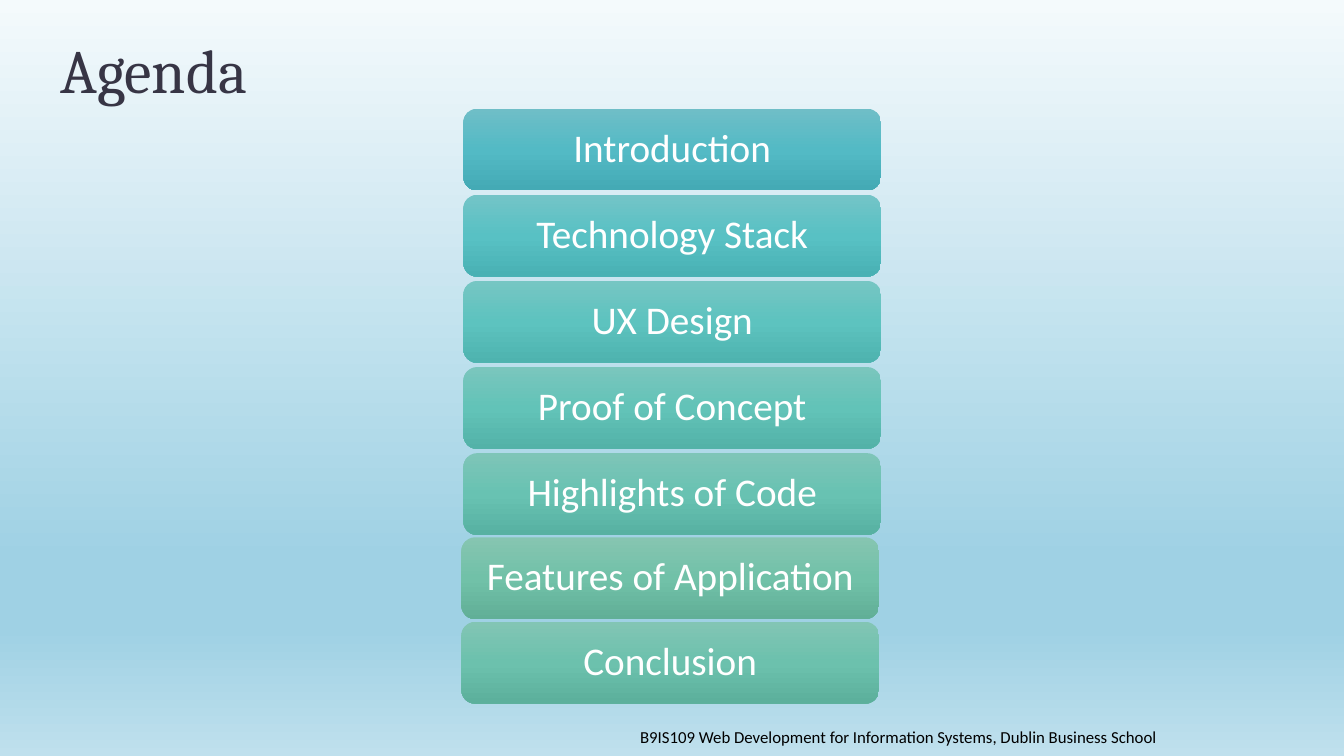
from lxml.etree import SubElement
from pptx import Presentation
from pptx.dml.color import RGBColor
from pptx.enum.shapes import MSO_SHAPE
from pptx.enum.text import MSO_ANCHOR, PP_ALIGN
from pptx.oxml.ns import qn
from pptx.util import Cm, Pt

SKY = [(0, "F4FAFC"), (74, "9FD1E4"), (83, "9FD1E4"), (100, "BFE0ED")]
MAIN_TOPICS = [
    ("Introduction", ("6FBEC7", "53BAC5", "44AAB5")),
    ("Technology Stack", ("73C4C7", "58C1C4", "49B1B4")),
    ("UX Design", ("76C6C3", "5DC3BF", "4EB3AF")),
    ("Proof of Concept", ("7AC6BD", "62C3B8", "53B2A8")),
    ("Highlights of Code", ("7EC5B8", "68C2B2", "57B1A2")),
]
CLOSING_TOPICS = [
    ("Features of Application", ("86C5B1", "71C1A8", "61AF97")),
    ("Conclusion", ("82C5B4", "6CC1AD", "5CB09C")),
]


def color(hex_value):
    return RGBColor.from_string(hex_value)


def fill_downward(fill, stops):
    fill.gradient()
    fill.gradient_angle = 270
    stop_list = fill._fill._gradFill.find(qn("a:gsLst"))
    for default_stop in list(stop_list):
        stop_list.remove(default_stop)
    for percent, hex_value in stops:
        stop = SubElement(stop_list, qn("a:gs"), pos=str(percent * 1000))
        SubElement(stop, qn("a:srgbClr"), val=hex_value)


def write(frame, text, size, font_name, hex_value, anchor):
    frame.word_wrap = True
    frame.vertical_anchor = anchor
    frame.text = text
    paragraph = frame.paragraphs[0]
    font = paragraph.runs[0].font
    font.size = Pt(size)
    font.name = font_name
    font.color.rgb = color(hex_value)
    return paragraph


def add_heading(slide, left, top, width, height):
    heading = slide.shapes.add_textbox(Cm(left), Cm(top), Cm(width), Cm(height))
    line = write(heading.text_frame, "Agenda", 44, "Cambria", "373545", MSO_ANCHOR.BOTTOM)
    line.line_spacing = 0.8


def add_topics(slide, topics, left, top, width, height, gap):
    for index, (topic, shades) in enumerate(topics):
        bar = slide.shapes.add_shape(
            MSO_SHAPE.ROUNDED_RECTANGLE,
            Cm(left), Cm(top + index * (height + gap)), Cm(width), Cm(height))
        bar.shadow.inherit = False
        bar.line.fill.background()
        fill_downward(bar.fill, zip((0, 50, 100), shades))
        frame = bar.text_frame
        frame.margin_left = frame.margin_right = Cm(0.3)
        frame.margin_top = frame.margin_bottom = Cm(0.15)
        label = write(frame, topic, 28, "Calibri", "FFFFFF", MSO_ANCHOR.MIDDLE)
        label.alignment = PP_ALIGN.CENTER
        label.line_spacing = 0.9


def add_course_line(slide, left, top, width, height):
    course = slide.shapes.add_textbox(Cm(left), Cm(top), Cm(width), Cm(height))
    write(course.text_frame,
          "B9IS109 Web Development for Information Systems, Dublin Business School",
          12, "Calibri", "000000", MSO_ANCHOR.MIDDLE)


def main():
    deck = Presentation()
    deck.slide_width = Cm(33.87)
    deck.slide_height = Cm(19.05)
    agenda = deck.slides.add_slide(deck.slide_layouts[6])
    fill_downward(agenda.background.fill, SKY)
    add_heading(agenda, 1.27, 0.43, 30.48, 2.34)
    add_topics(agenda, MAIN_TOPICS, 11.68, 2.74, 10.52, 2.06, 0.11)
    add_topics(agenda, CLOSING_TOPICS, 11.63, 13.54, 10.52, 2.06, 0.07)
    add_course_line(agenda, 15.88, 18.14, 13.97, 0.84)
    deck.save("out.pptx")


if __name__ == "__main__":
    main()
